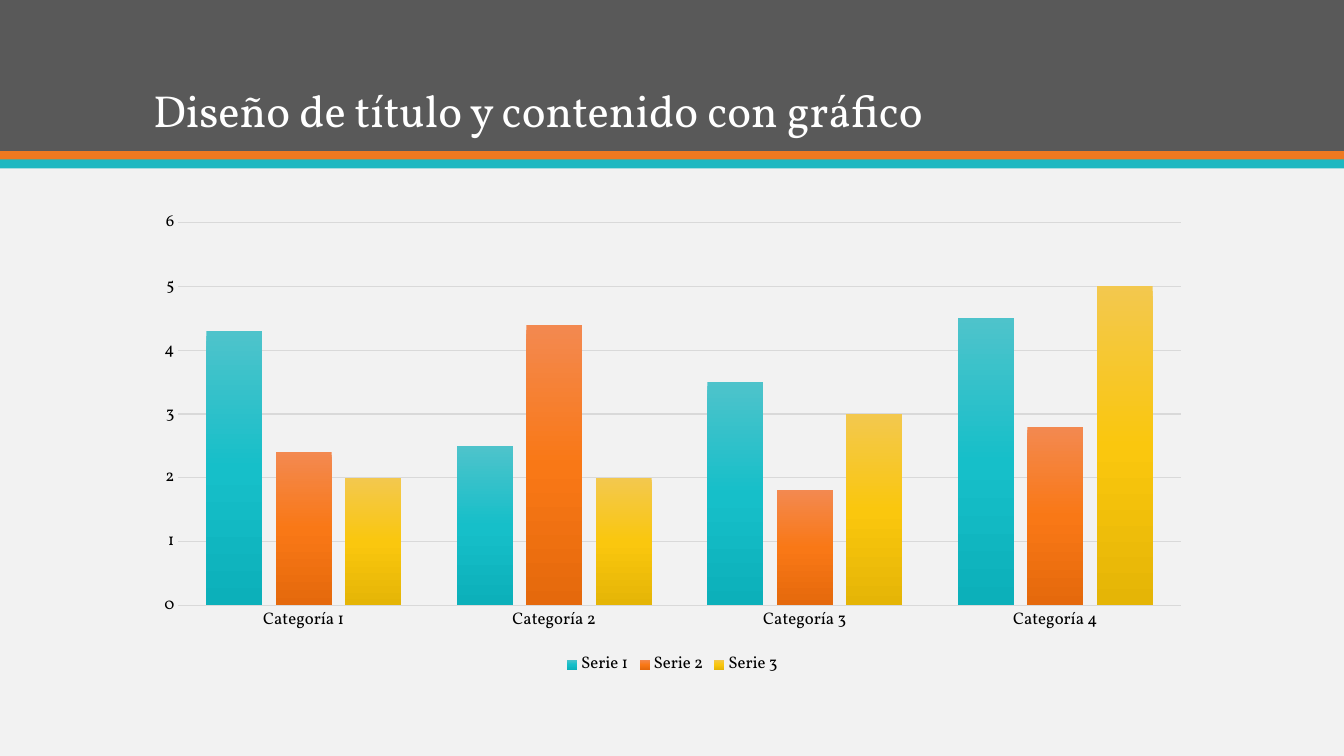
from pptx import Presentation
from pptx.chart.data import CategoryChartData
from pptx.dml.color import RGBColor
from pptx.enum.chart import XL_CHART_TYPE as CT, XL_LEGEND_POSITION as LP, XL_TICK_MARK as TM
from pptx.enum.shapes import MSO_SHAPE as SH
from pptx.enum.text import MSO_ANCHOR as ANC
from pptx.oxml import parse_xml
from pptx.oxml.ns import nsdecls
from pptx.util import Inches, Pt

FONT = "Vollkorn"


def rgb(color):
    return RGBColor.from_string(color)


def write(tf, text, size, color, spacing=1.0, anchor=ANC.TOP):
    tf.word_wrap = True
    tf.vertical_anchor = anchor
    p = tf.paragraphs[0]
    p.line_spacing = spacing
    r = p.add_run()
    r.text = text
    r.font.name, r.font.size = FONT, Pt(size)
    r.font.color.rgb = rgb(color)


prs = Presentation()
prs.slide_width, prs.slide_height = Inches(13.33), Inches(7.5)
s = prs.slides.add_slide(prs.slide_layouts[6])
s.background.fill.solid()
s.background.fill.fore_color.rgb = rgb("F2F2F2")

# Header band and its two stripes
for top, height, color in [(0, 1.5, "595959"), (1.5, 0.09, "EF7920"), (1.58, 0.09, "1EB8C1")]:
    sp = s.shapes.add_shape(SH.RECTANGLE, 0, Inches(top), prs.slide_width, Inches(height))
    sp.shadow.inherit = False
    sp.fill.solid()
    sp.fill.fore_color.rgb = rgb(color)
    sp.line.fill.background()

# Title
title = s.shapes.add_textbox(Inches(1.42), Inches(0.28), Inches(10.5), Inches(1.13))
write(title.text_frame, "Diseño de título y contenido con gráfico", size=32,
      color="FFFFFF", spacing=0.9, anchor=ANC.BOTTOM)

# Chart data: values and gradient from top to bottom of each column
series = [
    ("Serie 1", (4.3, 2.5, 3.5, 4.5), ("4EC3CB", "16BFC9", "0CB0BA")),
    ("Serie 2", (2.4, 4.4, 1.8, 2.8), ("F38950", "F97816", "E5690C")),
    ("Serie 3", (2, 2, 3, 5), ("F3C84E", "FAC70E", "E5B506")),
]
data = CategoryChartData()
data.categories = [f"Categoría {n}" for n in range(1, 5)]
for name, values, _ in series:
    data.add_series(name, values)

# Column chart
chart = s.shapes.add_chart(CT.COLUMN_CLUSTERED, Inches(1.42), Inches(2),
                           Inches(10.5), Inches(4.75), data).chart
chart.has_title = False
chart.font.name, chart.font.size = FONT, Pt(12)
chart.font.color.rgb = rgb("000000")
chart.has_legend = True
chart.legend.position = LP.BOTTOM
chart.legend.include_in_layout = False

plot = chart.plots[0]
plot.gap_width, plot.overlap = 100, -24
plot.vary_by_categories = False
for ser, (_, _, colors) in zip(plot.series, series):
    stops = "".join(f'<a:gs pos="{i * 50000}"><a:srgbClr val="{c}"/></a:gs>'
                    for i, c in enumerate(colors))
    ser.invert_if_negative = False
    ser.format.fill.background()
    sp_pr = ser.format.fill._xPr
    sp_pr.replace(sp_pr[0], parse_xml(
        f'<a:gradFill {nsdecls("a")} rotWithShape="1"><a:gsLst>{stops}</a:gsLst>'
        '<a:lin ang="5400000" scaled="0"/></a:gradFill>'))

# Axes and gridlines
cat, val = chart.category_axis, chart.value_axis
for axis in (cat, val):
    axis.major_tick_mark = axis.minor_tick_mark = TM.NONE
val.minimum_scale, val.maximum_scale, val.major_unit = 0, 6, 1
val.format.line.fill.background()
val.has_major_gridlines = True
for line in (cat.format.line, val.major_gridlines.format.line):
    line.width = Pt(0.75)
    line.color.rgb = rgb("D9D9D9")

prs.save("out.pptx")
